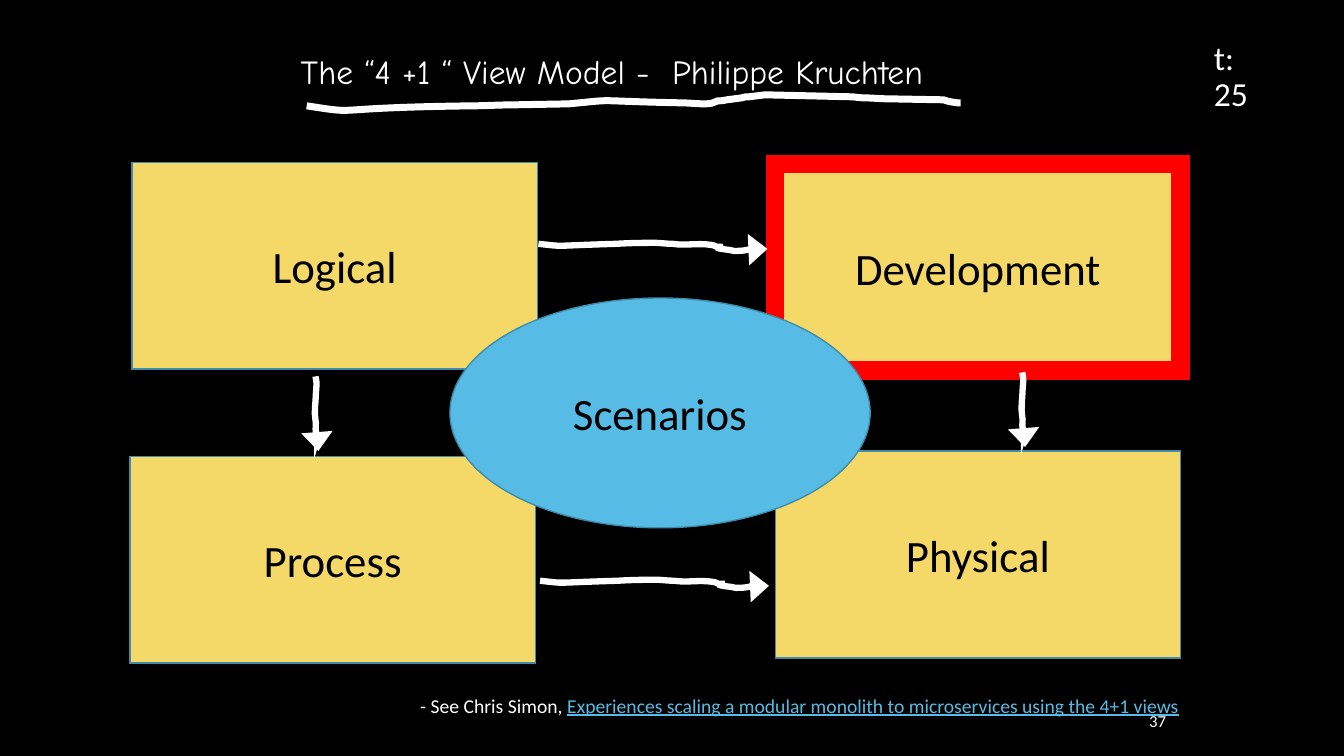
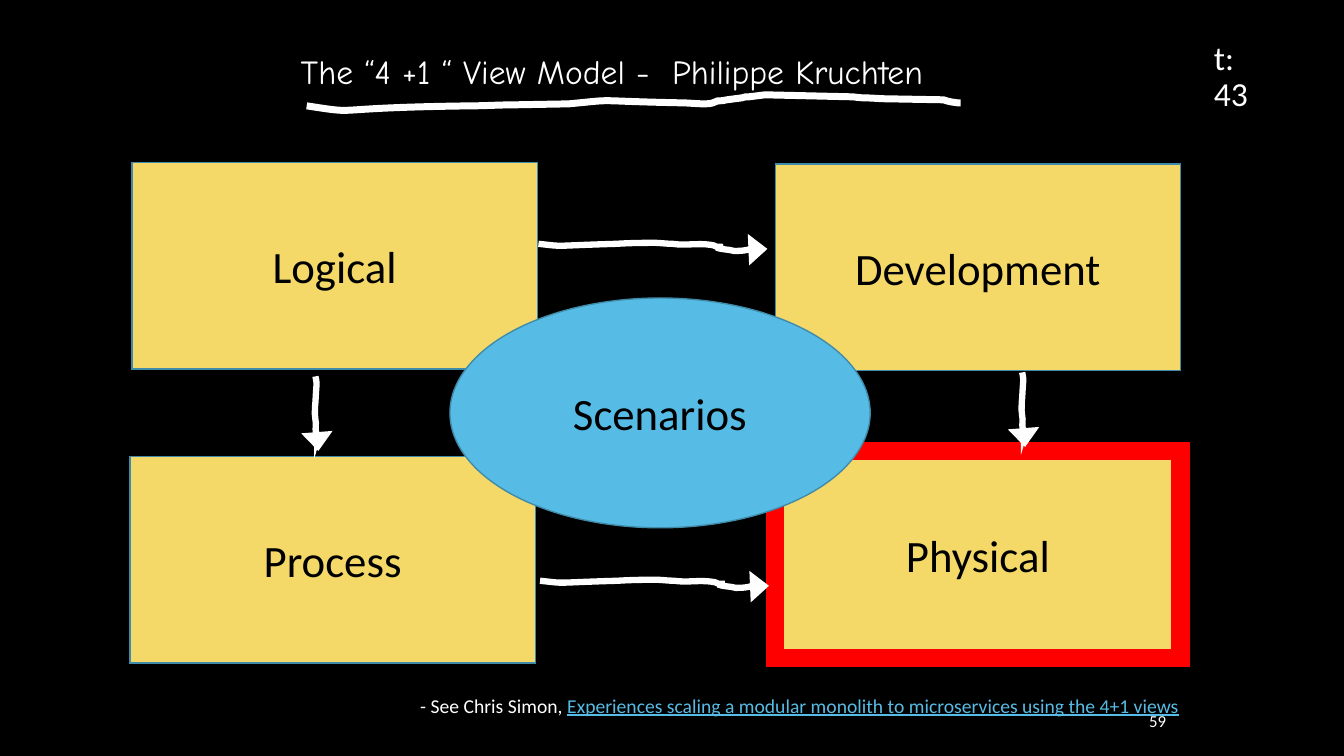
from dataclasses import dataclass
from lxml import etree
from pptx import Presentation
from pptx import util as u
from pptx.dml.color import RGBColor
from pptx.enum import shapes, text
from pptx.oxml.ns import qn

BLACK = RGBColor(0, 0, 0)
WHITE = RGBColor(255, 255, 255)
GOLD = RGBColor(0xF4, 0xD9, 0x68)
SKY = RGBColor(0x57, 0xBC, 0xE5)
TEAL = RGBColor(0x40, 0x8B, 0xA9)
RED = RGBColor(255, 0, 0)
SANS = "Calibri"
HAND = "Comic Neue"
TITLE = "The “4 +1 “ View Model -  Philippe Kruchten"
CREDIT = "- See Chris Simon, "
TALK = "Experiences scaling a modular monolith to microservices using the 4+1 views"

Point = tuple[int, int]
Step = tuple[Point, ...]


@dataclass(frozen=True)
class Frame:
    x: float
    y: float
    w: float
    h: float

    def size(self) -> list[u.Length]:
        return [u.Cm(v) for v in (self.x, self.y, self.w, self.h)]


@dataclass(frozen=True)
class View:
    name: str
    x: float
    y: float
    w: float = 10.21
    h: float = 5.21
    kind: shapes.MSO_SHAPE = shapes.MSO_SHAPE.RECTANGLE
    fill: RGBColor = GOLD


@dataclass(frozen=True)
class Curve:
    w: int
    h: int
    steps: tuple[Step, ...]

    def flip(self) -> "Curve":
        return Curve(self.w, self.h, tuple(
            tuple((x, self.h - y) for x, y in step) for step in self.steps))


@dataclass(frozen=True)
class Arrow:
    box: Frame
    down: bool = False


@dataclass(frozen=True)
class Page:
    focus: str
    clock: str
    number: str


@dataclass(frozen=True)
class Style:
    size: int
    font: str = SANS
    align: text.PP_ALIGN = text.PP_ALIGN.LEFT
    anchor: text.MSO_ANCHOR = text.MSO_ANCHOR.TOP
    space: float = 1.0


VIEWS = (
    View("Logical", 3.33, 4.09),
    View("Process", 3.28, 11.5),
    View("Development", 19.54, 4.13),
    View("Physical", 19.54, 11.37),
    View("Scenarios", 11.34, 7.51, 10.59, 5.79, shapes.MSO_SHAPE.OVAL, SKY),
)
ARROWS = (
    Arrow(Frame(13.57, 6.12, 5.77, 0.23)),
    Arrow(Frame(13.61, 14.61, 5.77, 0.23)),
    Arrow(Frame(7.06, 10.36, 1.88, 0.13), True),
    Arrow(Frame(24.87, 10.26, 1.88, 0.13), True),
)
PAGES = (Page("Development", "t: 25", "37"), Page("Physical", "t: 43", "59"))

WAVE = Curve(227, 9, (
    ((0, 1),),
    ((29, 4), (8, 3), (77, 1)),
    ((92, 0), (107, 0), (116, 0)),
    ((120, 0), (127, 1), (133, 1)),
    ((146, 3), (157, 0), (171, 2)),
    ((173, 2), (175, 3), (177, 4)),
    ((196, 4), (162, 4), (189, 7)),
    ((191, 8), (192, 8), (194, 8)),
    ((199, 8), (202, 8), (207, 7)),
    ((209, 7), (210, 6), (211, 6)),
    ((216, 7), (222, 7), (227, 6)),
))
RULE = Curve(649, 15, (
    ((0, 11),),
    ((59, 20), (10, 13), (163, 11)),
    ((177, 11), (191, 10), (205, 10)),
    ((260, 9),),
    ((313, 4), (276, 6), (371, 8)),
    ((379, 8), (387, 9), (395, 9)),
    ((402, 9), (403, 8), (408, 6)),
    ((411, 6), (414, 6), (417, 5)),
    ((432, 3),),
    ((434, 2), (436, 2), (439, 2)),
    ((455, 0),),
    ((540, 2),),
    ((544, 2), (548, 3), (552, 3)),
    ((560, 3), (569, 4), (577, 4)),
    ((632, 5),),
    ((638, 7), (639, 7), (646, 8)),
    ((647, 8), (648, 8), (649, 8)),
))
RULE_BOX = Frame(7.73, 2.39, 16.48, 0.38)
TITLE_BOX = Frame(7.33, 1.27, 18.01, 1.17)
CREDIT_BOX = Frame(10.34, 17.35, 20.19, 0.86)
NUMBER_BOX = Frame(26.46, 17.78, 3.18, 0.76)
CLOCK_BOX = Frame(30.34, 0.91, 2.03, 1.17)


def edge(shape, color: RGBColor, width: float):
    shape.shadow.inherit = False
    shape.line.color.rgb = color
    shape.line.width = u.Pt(width)
    line = shape.line._get_or_add_ln()
    etree.SubElement(line, qn("a:miter"), lim="800000")
    return line


def stroke(slide, box: Frame, curve: Curve, width: float):
    x, y, w, h = box.size()
    pen = slide.shapes.build_freeform(x, y)
    pen.add_line_segments([(x + w, y + h)], close=False)
    shape = pen.convert_to_shape()
    route = next(shape._element.iter(qn("a:path")))
    for node in list(route):
        route.remove(node)
    route.set("w", str(curve.w))
    route.set("h", str(curve.h))
    for i, step in enumerate(curve.steps):
        tag = "cubicBezTo" if len(step) == 3 else "lnTo" if i else "moveTo"
        node = etree.SubElement(route, qn("a:" + tag))
        for px, py in step:
            etree.SubElement(node, qn("a:pt"), x=str(px), y=str(py))
    shape.fill.background()
    return shape, edge(shape, WHITE, width)


def arrow(slide, item: Arrow) -> None:
    curve = WAVE.flip() if item.down else WAVE
    shape, line = stroke(slide, item.box, curve, 4.5)
    shape.rotation = 90 if item.down else 0
    etree.SubElement(line, qn("a:tailEnd"), type="triangle", w="lg", len="med")


def ink(run, size: int, font: str, color: RGBColor) -> None:
    run.font.size = u.Pt(size)
    run.font.name = font
    run.font.color.rgb = color


def view(slide, item: View, focus: bool) -> None:
    box = Frame(item.x, item.y, item.w, item.h)
    shape = slide.shapes.add_shape(item.kind, *box.size())
    shape.fill.solid()
    shape.fill.fore_color.rgb = item.fill
    edge(shape, RED if focus else TEAL, 13 if focus else 1)
    frame = shape.text_frame
    frame.text = item.name
    frame.vertical_anchor = text.MSO_ANCHOR.MIDDLE
    para = frame.paragraphs[0]
    para.alignment = text.PP_ALIGN.CENTER
    ink(para.runs[0], 32, SANS, BLACK)


def label(slide, box: Frame, words: str, style: Style):
    frame = slide.shapes.add_textbox(*box.size()).text_frame
    frame.word_wrap = True
    frame.vertical_anchor = style.anchor
    frame.text = words
    para = frame.paragraphs[0]
    para.alignment = style.align
    para.line_spacing = style.space
    ink(para.runs[0], style.size, style.font, WHITE)
    return para


def build(deck, page: Page) -> None:
    slide = deck.slides.add_slide(deck.slide_layouts[6])
    slide.background.fill.solid()
    slide.background.fill.fore_color.rgb = BLACK
    for item in VIEWS:
        view(slide, item, item.name == page.focus)
    for item in ARROWS:
        arrow(slide, item)
    label(slide, TITLE_BOX, TITLE, Style(24, HAND, space=0.9))
    stroke(slide, RULE_BOX, RULE, 5)
    para = label(slide, CREDIT_BOX, CREDIT, Style(14))
    run = para.add_run()
    run.text = TALK
    ink(run, 14, SANS, SKY)
    run.font.underline = True
    label(slide, NUMBER_BOX, page.number,
          Style(12, align=text.PP_ALIGN.RIGHT, anchor=text.MSO_ANCHOR.MIDDLE))
    label(slide, CLOCK_BOX, page.clock, Style(24, space=0.9))


def main() -> None:
    deck = Presentation()
    deck.slide_width = u.Cm(33.87)
    deck.slide_height = u.Cm(19.05)
    for page in PAGES:
        build(deck, page)
    deck.save("out.pptx")


if __name__ == "__main__":
    main()
